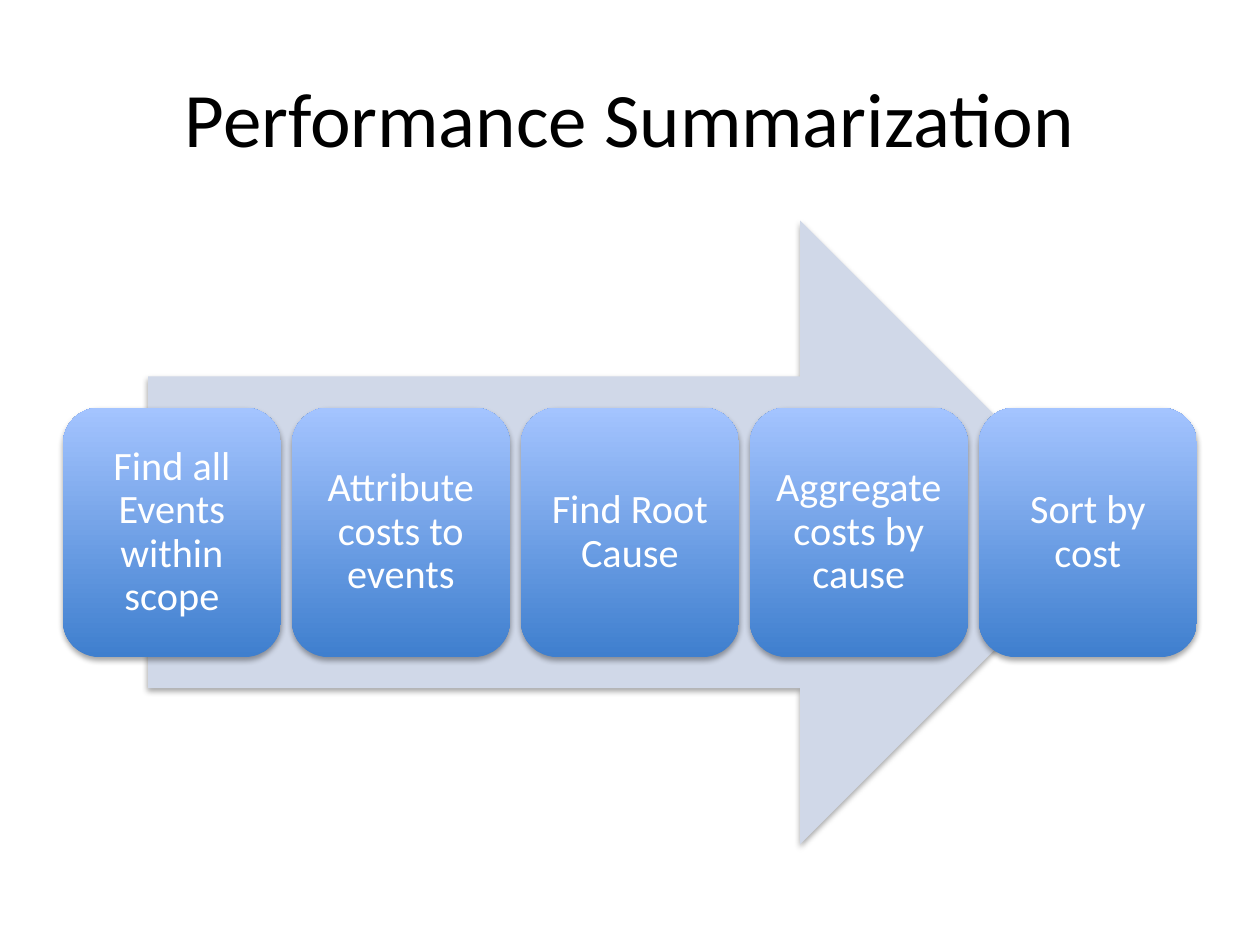
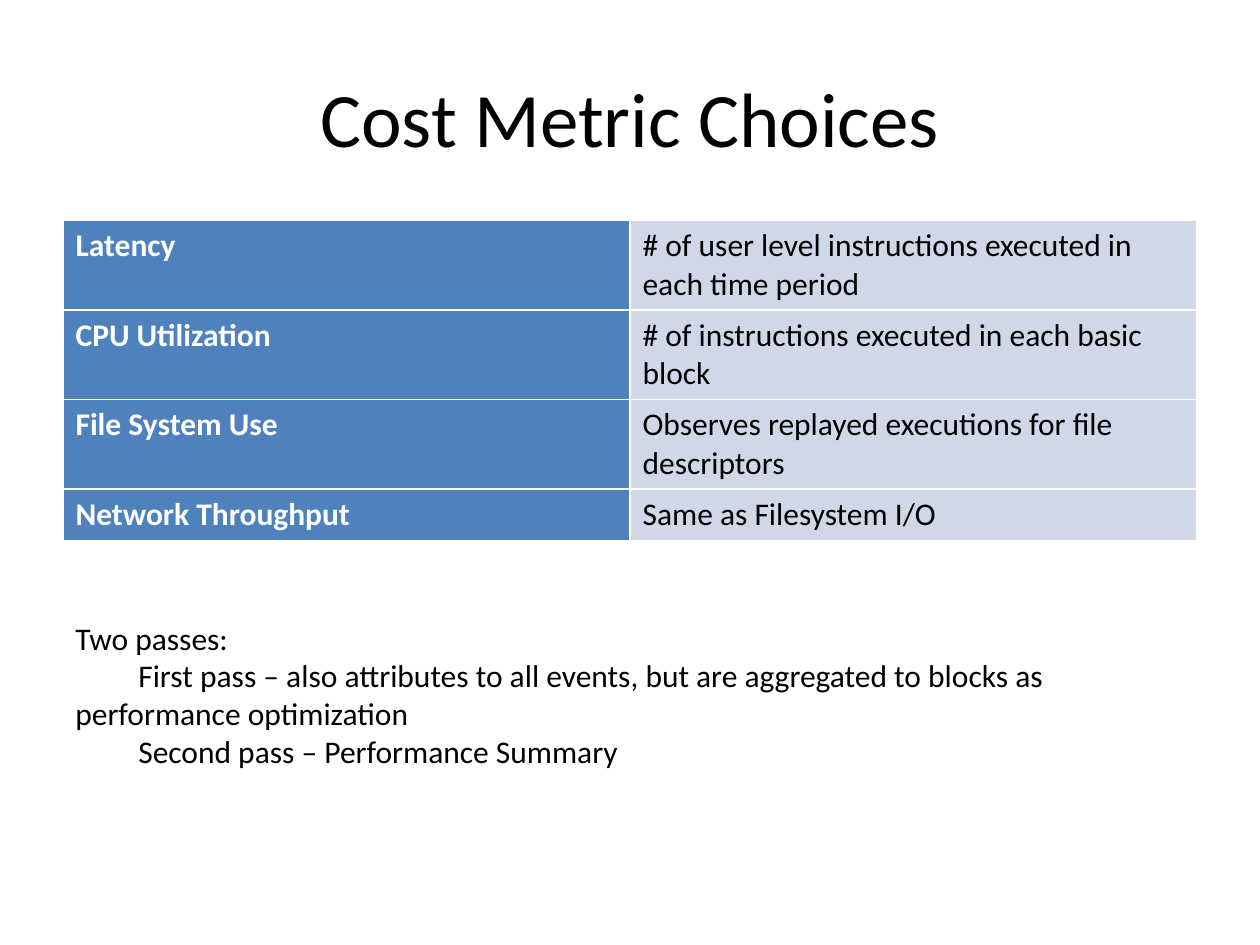
"""Build two slides on summarizing performance costs."""
from dataclasses import dataclass
from typing import NamedTuple

import lxml.etree
import pptx
import pptx.dml.color
import pptx.enum.shapes
import pptx.enum.text
import pptx.oxml.ns
import pptx.util

qn = pptx.oxml.ns.qn
Shapes = pptx.enum.shapes.MSO_SHAPE
Align = pptx.enum.text.PP_ALIGN
Anchor = pptx.enum.text.MSO_ANCHOR

WIDTH, HEIGHT = pptx.util.Inches(10), pptx.util.Inches(7.5)
COLUMN, ROW = WIDTH / 20, HEIGHT / 30


@dataclass(frozen=True)
class Theme:
    """Colours, font and type sizes shared by the slides."""
    font: str = "Calibri"
    ink: str = "000000"
    paper: str = "FFFFFF"
    pale: str = "D0D8E8"
    header: str = "4F81BD"
    step_bottom: str = "3F7FCE"
    step_top: str = "A4C4FF"
    title_size: int = 44
    step_size: int = 23
    body_size: int = 18


class Area(NamedTuple):
    """A rectangle measured in grid columns and rows."""
    left: float
    top: float
    width: float
    height: float

    def lengths(self) -> tuple[int, int, int, int]:
        """Return the rectangle in slide units."""
        return (round(self.left * COLUMN), round(self.top * ROW),
                round(self.width * COLUMN), round(self.height * ROW))


class Metric(NamedTuple):
    """A cost metric, how it is measured, and its height in grid rows."""
    name: str
    measure: str
    rows: float


THEME = Theme()
TITLE = Area(1, 1.2, 18, 5)
BODY = Area(1, 7, 18, 19.8)
NOTES = Area(1, 19.44, 18, 5.24)
STEP_GAP = 0.05

STEPS = ["Find all Events within scope", "Attribute costs to events",
         "Find Root Cause", "Aggregate costs by cause", "Sort by cost"]
METRICS = [
    Metric("Latency", "# of user level instructions executed in each time period", 2.84),
    Metric("CPU Utilization", "# of instructions executed in each basic block", 2.84),
    Metric("File System Use", "Observes replayed executions for file descriptors", 2.84),
    Metric("Network Throughput", "Same as Filesystem I/O", 1.64),
]
PASSES = [
    "Two passes:",
    "First pass – also attributes to all events, but are aggregated to blocks as "
    "performance optimization",
    "Second pass – Performance Summary",
]


def colour(code: str) -> pptx.dml.color.RGBColor:
    """Turn a hex code into a colour."""
    return pptx.dml.color.RGBColor.from_string(code)


def write(frame, lines: list[str], size: int, ink: str = THEME.ink,
          align=Align.LEFT, bold: bool = False) -> None:
    """Fill a text frame with uniformly styled paragraphs."""
    frame.word_wrap = True
    frame.text = "\n".join(lines)
    for para in frame.paragraphs:
        para.alignment = align
        for span in para.runs:
            span.font.name = THEME.font
            span.font.size = pptx.util.Pt(size)
            span.font.bold = bold
            span.font.color.rgb = colour(ink)


def add_page(deck, title: str):
    """Add a blank page with the shared title."""
    page = deck.slides.add_slide(deck.slide_layouts[6])
    frame = page.shapes.add_textbox(*TITLE.lengths()).text_frame
    frame.vertical_anchor = Anchor.MIDDLE
    write(frame, [title], THEME.title_size, align=Align.CENTER)
    return page


def add_raised(page, kind, area: Area):
    """Add an unlined shape with a soft shadow below it."""
    shape = page.shapes.add_shape(kind, *area.lengths())
    shape.line.fill.background()
    shape.shadow.inherit = False
    effects = shape._element.spPr.find(qn("a:effectLst"))
    shadow = lxml.etree.SubElement(
        effects, qn("a:outerShdw"), blurRad=str(pptx.util.Pt(3.1)),
        dist=str(pptx.util.Pt(1.8)), dir="5400000", rotWithShape="0")
    tint = lxml.etree.SubElement(shadow, qn("a:srgbClr"), val=THEME.ink)
    lxml.etree.SubElement(tint, qn("a:alpha"), val="35000")
    return shape


def add_step(page, text: str, area: Area) -> None:
    """Add one rounded step with a vertical gradient."""
    box = add_raised(page, Shapes.ROUNDED_RECTANGLE, area)
    box.fill.gradient()
    box.fill.gradient_angle = 90
    for stop, position, code in zip(box.fill.gradient_stops, (0, 1),
                                    (THEME.step_bottom, THEME.step_top)):
        stop.position = position
        stop.color.rgb = colour(code)
    frame = box.text_frame
    frame.vertical_anchor = Anchor.MIDDLE
    frame.margin_left = frame.margin_right = pptx.util.Inches(0.1)
    frame.margin_top = frame.margin_bottom = pptx.util.Inches(0.1)
    write(frame, [text], THEME.step_size, THEME.paper, Align.CENTER)
    frame.paragraphs[0].line_spacing = 0.9


def add_process(page) -> None:
    """Add the arrow and the evenly spaced steps across it."""
    arrow = add_raised(page, Shapes.RIGHT_ARROW, Area(
        BODY.left + BODY.width * 0.075, BODY.top, BODY.width * 0.85, BODY.height))
    arrow.fill.solid()
    arrow.fill.fore_color.rgb = colour(THEME.pale)
    width = BODY.width / (len(STEPS) + STEP_GAP * (len(STEPS) - 1))
    for index, text in enumerate(STEPS):
        add_step(page, text, Area(
            BODY.left + index * width * (1 + STEP_GAP),
            BODY.top + BODY.height * 0.3, width, BODY.height * 0.4))


def style_cell(cell, text: str, fill: str, ink: str, bold: bool) -> None:
    """Write one cell with its fill and white borders."""
    write(cell.text_frame, [text], THEME.body_size, ink, bold=bold)
    properties = cell._tc.get_or_add_tcPr()
    for side in ("lnL", "lnR", "lnT", "lnB"):
        border = lxml.etree.SubElement(properties, qn(f"a:{side}"),
                                       w=str(pptx.util.Pt(1)))
        paint = lxml.etree.SubElement(border, qn("a:solidFill"))
        lxml.etree.SubElement(paint, qn("a:srgbClr"), val=THEME.paper)
    cell.fill.solid()
    cell.fill.fore_color.rgb = colour(fill)


def add_metrics(page) -> None:
    """Add the table of cost metrics."""
    area = BODY._replace(height=sum(metric.rows for metric in METRICS))
    table = page.shapes.add_table(len(METRICS), 2, *area.lengths()).table
    table.first_row = table.horz_banding = False
    table.first_col = True
    for index, metric in enumerate(METRICS):
        table.rows[index].height = round(metric.rows * ROW)
        style_cell(table.cell(index, 0), metric.name, THEME.header, THEME.paper, True)
        style_cell(table.cell(index, 1), metric.measure, THEME.pale, THEME.ink, False)


def add_passes(page) -> None:
    """Add the notes on passes with first-line indents."""
    frame = page.shapes.add_textbox(*NOTES.lengths()).text_frame
    write(frame, PASSES, THEME.body_size)
    for para in frame.paragraphs[1:]:
        para._p.get_or_add_pPr().set("indent", str(round(COLUMN)))


def main() -> None:
    """Build and save the deck."""
    deck = pptx.Presentation()
    deck.slide_width, deck.slide_height = WIDTH, HEIGHT
    add_process(add_page(deck, "Performance Summarization"))
    page = add_page(deck, "Cost Metric Choices")
    add_metrics(page)
    add_passes(page)
    deck.save("out.pptx")


if __name__ == "__main__":
    main()
